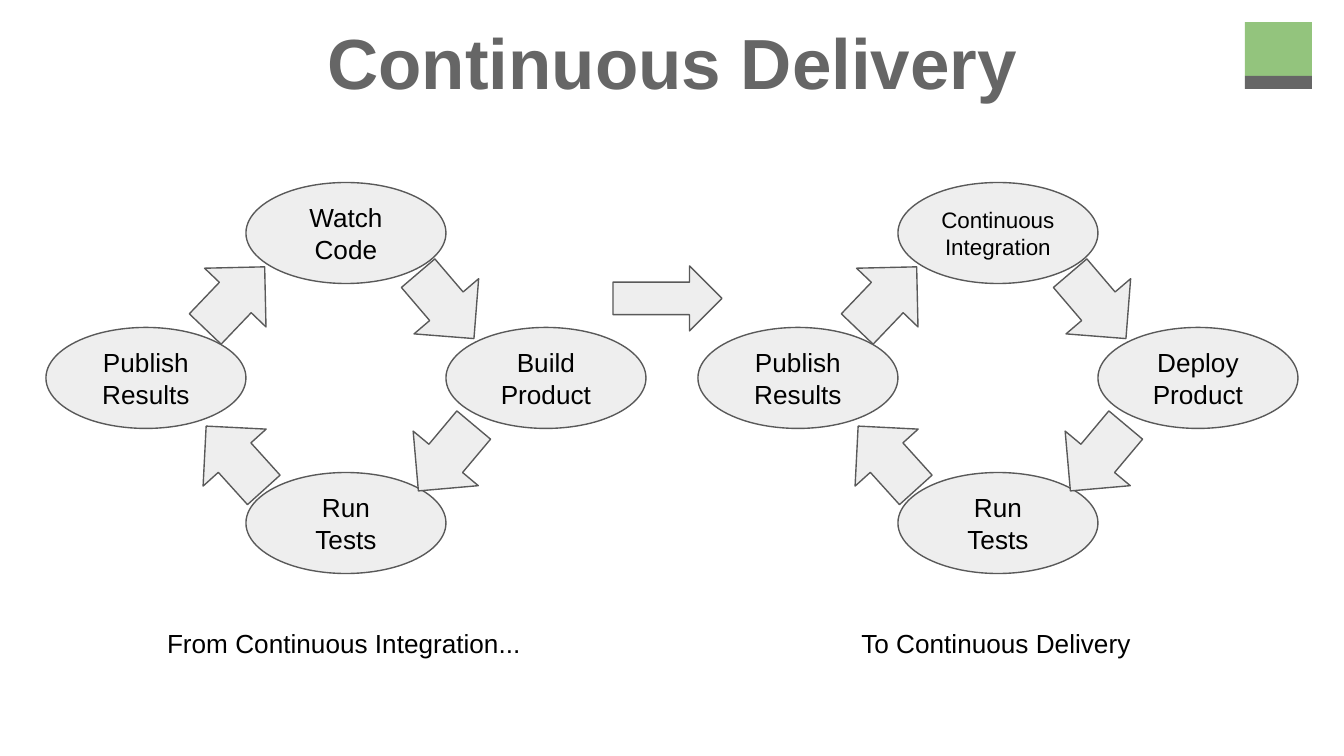
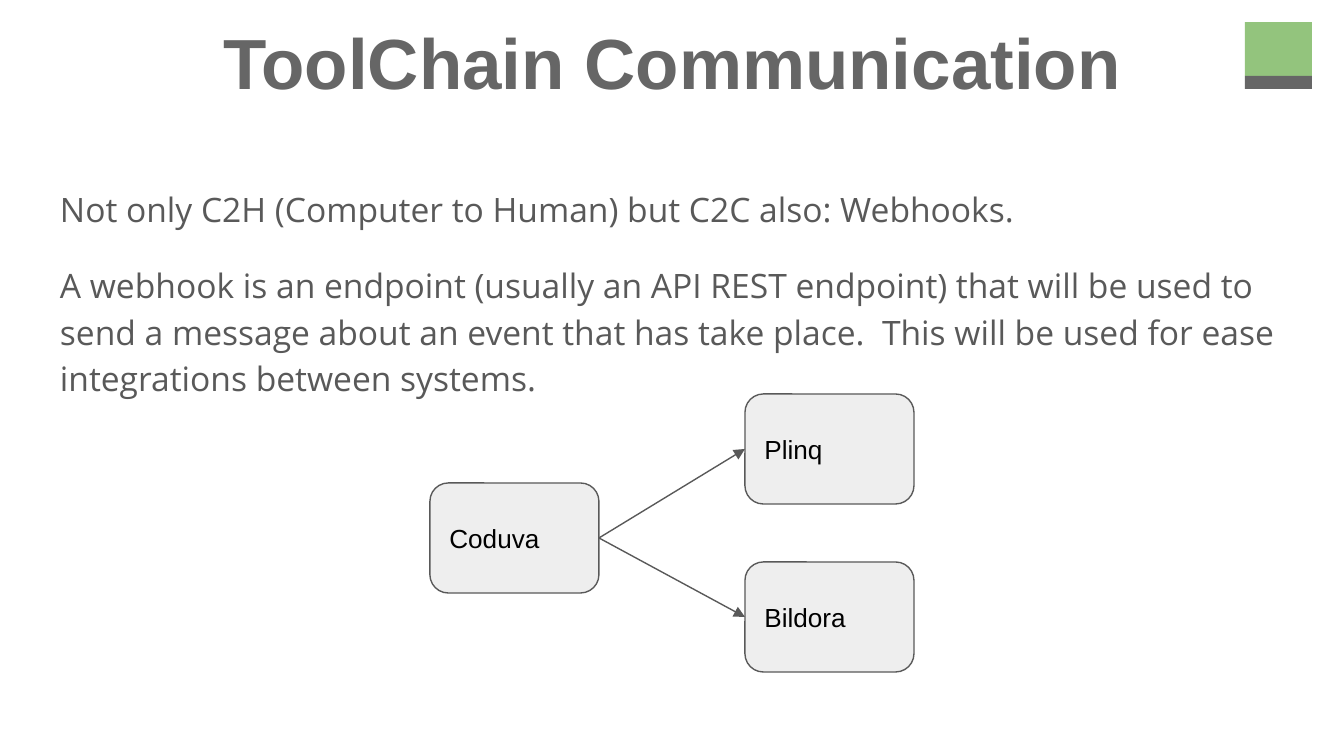
"""Builds two slides on continuous delivery and toolchain communication."""
from dataclasses import dataclass

from lxml import etree
from pptx import Presentation
from pptx.dml.color import RGBColor
from pptx.enum.shapes import MSO_CONNECTOR, MSO_SHAPE
from pptx.enum.text import MSO_ANCHOR, MSO_AUTO_SIZE, PP_ALIGN
from pptx.oxml.ns import qn
from pptx.util import Pt

SLIDE_SIZE = (1344, 756)
EMU_PER_PX = 9144000 / 1344


@dataclass(frozen=True)
class Theme:
    green: str = "93C47D"
    grey: str = "666666"
    outline: str = "595959"
    panel: str = "EEEEEE"
    ink: str = "000000"
    heading_font: str = "Arial"
    body_font: str = "Open Sans"
    title_size: int = 38
    body_size: int = 18
    label_size: int = 14
    small_size: int = 12
    line_width: float = 0.75
    inset: int = 14


THEME = Theme()

BAND = [((1245, 22, 67, 54), THEME.green), ((1245, 76, 67, 13), THEME.grey)]
TITLE_BOX = (46, 5, 1253, 85)

DELIVERY_TITLE = "Continuous Delivery"
LOOPS = [
    {
        "centre": (346, 378),
        "caption": "From Continuous Integration...",
        "steps": [
            ("Watch Code", THEME.label_size),
            ("Build Product", THEME.label_size),
            ("Run Tests", THEME.label_size),
            ("Publish Results", THEME.label_size),
        ],
    },
    {
        "centre": (998, 378),
        "caption": "To Continuous Delivery",
        "steps": [
            ("Continuous Integration", THEME.small_size),
            ("Deploy Product", THEME.label_size),
            ("Run Tests", THEME.label_size),
            ("Publish Results", THEME.label_size),
        ],
    },
]
STEP_SIZE = (200, 101)
STEP_OFFSETS = [(0, -145), (200, 0), (0, 145), (-200, 0)]
TURN_SIZE = (86, 85)
TURN_OFFSETS = [
    ((100, -72), 49.5),
    ((-111, 80), 227.9),
    ((-111, -80), 313.7),
    ((100, 80), 130),
]
TURN_ADJUSTMENT = 0.518
CAPTION_SIZE = (444, 101)
CAPTION_OFFSET = (-2, 286)
BRIDGE_BOX = (613, 266, 109, 65)

TOOLCHAIN_TITLE = "ToolChain Communication"
WEBHOOK_BOX = (46, 169, 1253, 503)
WEBHOOK_TEXT = [
    "Not only C2H (Computer to Human) but C2C also: Webhooks.",
    "A webhook is an endpoint (usually an API REST endpoint) that will be used "
    "to send a message about an event that has take place.  This will be used "
    "for ease integrations between systems.",
]
TOOL_SIZE = (169, 110)
SENDER = ("Coduva", (430, 483))
RECEIVERS = [("Plinq", (745, 394)), ("Bildora", (745, 562))]
LEFT_SITE, RIGHT_SITE = 1, 3


def emu(*lengths):
    return [round(length * EMU_PER_PX) for length in lengths]


def around(centre, offset, size):
    left, top = (c + o - s / 2 for c, o, s in zip(centre, offset, size))
    return (left, top, *size)


def apply(target, values):
    for key, value in values.items():
        setattr(target, key, value)


def write(shape, paragraphs, size, font=THEME.heading_font, color=THEME.ink,
          bold=False, align=PP_ALIGN.CENTER, anchor=MSO_ANCHOR.TOP, spacing=None):
    frame = shape.text_frame
    inset = emu(THEME.inset)[0]
    apply(frame, {
        "word_wrap": True,
        "auto_size": MSO_AUTO_SIZE.NONE,
        "vertical_anchor": anchor,
        "margin_left": inset,
        "margin_right": inset,
        "margin_top": inset,
        "margin_bottom": inset,
    })
    for index, text in enumerate(paragraphs):
        paragraph = frame.add_paragraph() if index else frame.paragraphs[0]
        apply(paragraph, {"alignment": align, **(spacing or {})})
        run = paragraph.add_run()
        run.text = text
        apply(run.font, {"name": font, "size": Pt(size), "bold": bold})
        run.font.color.rgb = RGBColor.from_string(color)


def draw_line(line):
    line.color.rgb = RGBColor.from_string(THEME.outline)
    line.width = Pt(THEME.line_width)


def add_panel(slide, kind, box, fill=THEME.panel, outlined=True):
    panel = slide.shapes.add_shape(kind, *emu(*box))
    panel.shadow.inherit = False
    panel.fill.solid()
    panel.fill.fore_color.rgb = RGBColor.from_string(fill)
    if outlined:
        draw_line(panel.line)
    else:
        panel.line.fill.background()
    return panel


def add_band(slide):
    layout = slide.slide_layout
    for placeholder in list(layout.placeholders):
        if placeholder.placeholder_format.idx:
            layout.element.cSld.spTree.remove(placeholder.element)
    for box, color in BAND:
        block = add_panel(slide, MSO_SHAPE.RECTANGLE, box, color, outlined=False)
        layout.element.cSld.spTree.append(block.element)


def add_slide(deck, heading):
    slide = deck.slides.add_slide(deck.slide_layouts[5])
    title = slide.shapes.title
    apply(title, dict(zip(("left", "top", "width", "height"), emu(*TITLE_BOX))))
    write(title, [heading], THEME.title_size, color=THEME.grey, bold=True)
    return slide


def add_loop(slide, loop):
    centre = loop["centre"]
    for (label, size), offset in zip(loop["steps"], STEP_OFFSETS):
        step = add_panel(slide, MSO_SHAPE.OVAL, around(centre, offset, STEP_SIZE))
        write(step, [label], size, anchor=MSO_ANCHOR.MIDDLE)
    for offset, angle in TURN_OFFSETS:
        turn = add_panel(slide, MSO_SHAPE.RIGHT_ARROW,
                         around(centre, offset, TURN_SIZE))
        turn.rotation = angle
        turn.adjustments[0] = TURN_ADJUSTMENT
    caption = slide.shapes.add_textbox(
        *emu(*around(centre, CAPTION_OFFSET, CAPTION_SIZE)))
    write(caption, [loop["caption"]], THEME.label_size)


def add_tool(slide, name, corner):
    tool = add_panel(slide, MSO_SHAPE.ROUNDED_RECTANGLE, (*corner, *TOOL_SIZE))
    write(tool, [name], THEME.label_size, align=PP_ALIGN.LEFT,
          anchor=MSO_ANCHOR.MIDDLE)
    return tool


def add_message(slide, sender, receiver):
    message = slide.shapes.add_connector(MSO_CONNECTOR.STRAIGHT, 0, 0, 0, 0)
    message.begin_connect(sender, RIGHT_SITE)
    message.end_connect(receiver, LEFT_SITE)
    draw_line(message.line)
    etree.SubElement(message.line.fill and message.element.spPr.find(qn("a:ln")),
                     qn("a:tailEnd"), type="triangle")
    etree.SubElement(message.element.spPr, qn("a:effectLst"))


def build_delivery(deck):
    slide = add_slide(deck, DELIVERY_TITLE)
    add_band(slide)
    for loop in LOOPS:
        add_loop(slide, loop)
    add_panel(slide, MSO_SHAPE.RIGHT_ARROW, BRIDGE_BOX)


def build_toolchain(deck):
    slide = add_slide(deck, TOOLCHAIN_TITLE)
    webhook = slide.shapes.add_textbox(*emu(*WEBHOOK_BOX))
    write(webhook, WEBHOOK_TEXT, THEME.body_size, THEME.body_font, THEME.outline,
          align=PP_ALIGN.LEFT,
          spacing={"line_spacing": 1.15, "space_after": Pt(16)})
    sender = add_tool(slide, *SENDER)
    receivers = [add_tool(slide, *receiver) for receiver in RECEIVERS]
    for receiver in receivers:
        add_message(slide, sender, receiver)


def main():
    deck = Presentation()
    deck.slide_width, deck.slide_height = emu(*SLIDE_SIZE)
    build_delivery(deck)
    build_toolchain(deck)
    deck.save("out.pptx")


if __name__ == "__main__":
    main()
